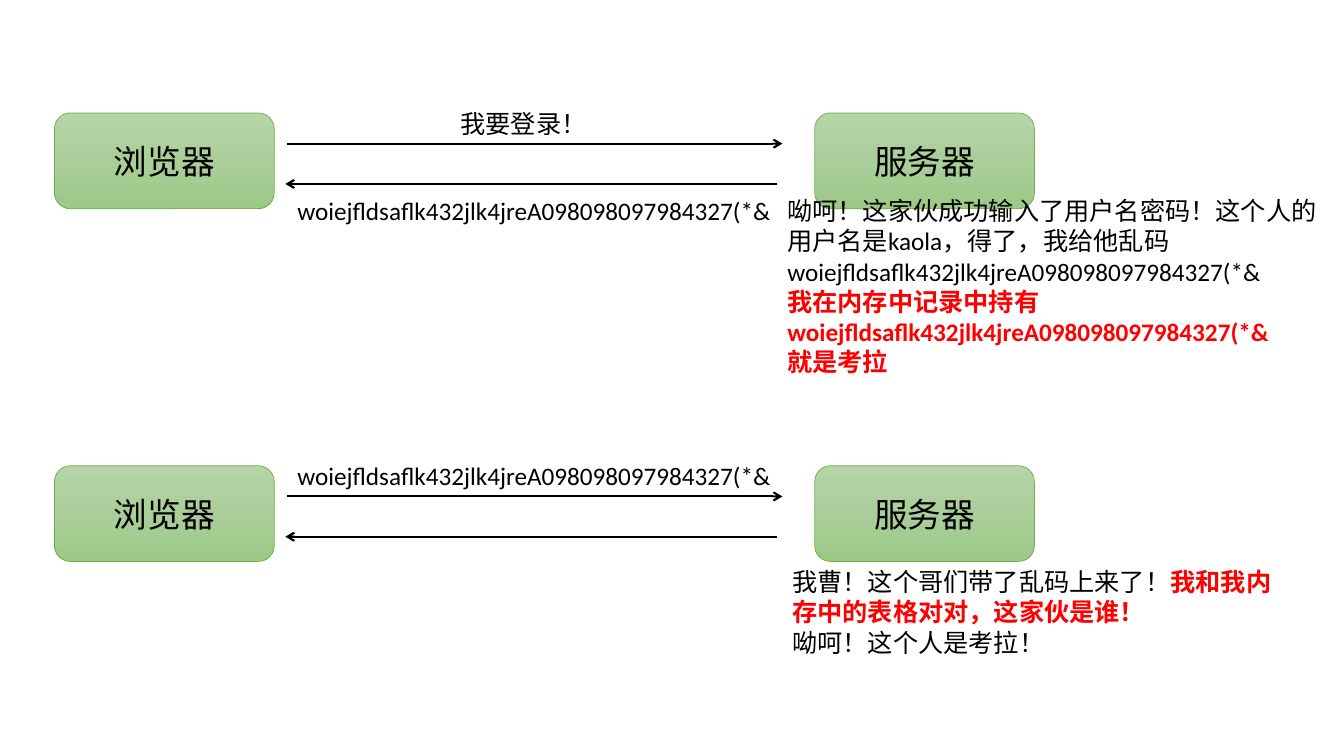
from copy import deepcopy

from pptx import Presentation
from pptx.dml.color import RGBColor
from pptx.enum.shapes import MSO_CONNECTOR as Connector, MSO_SHAPE as Shape
from pptx.enum.text import MSO_ANCHOR as Anchor, PP_ALIGN as Align
from pptx.oxml.ns import qn
from pptx.util import Inches, Pt
from lxml.etree import SubElement

COLORS = {
    "text": "000000",
    "accent": "FF0000",
    "border": "70AD47",
    "top": "B5D5A7",
    "middle": "AACE9A",
    "bottom": "9CC987",
}
FONT = "Calibri"
TOKEN = "woiejfldsaflk432jlk4jreA098098097984327(*&"
BROWSER_LEFT, SERVER_LEFT = 0.54, 8.08
EXCHANGE_TOPS = (1.12, 4.62)


def color(name):
    return RGBColor.from_string(COLORS[name])


def fill_gradient(shape):
    """Run three green stops from top to bottom."""
    shape.fill.gradient()
    shape.fill.gradient_angle = 270
    stop_list = shape.fill._fill._gradFill.find(qn("a:gsLst"))
    stop_list.insert(1, deepcopy(stop_list[0]))
    stops = zip(shape.fill.gradient_stops, (0, 0.5, 1), ("top", "middle", "bottom"))
    for stop, position, name in stops:
        stop.position = position
        stop.color.rgb = color(name)


def add_node(slide, label, left, top):
    """Add a rounded box for one side of the exchange."""
    shape = slide.shapes.add_shape(
        Shape.ROUNDED_RECTANGLE, Inches(left), Inches(top), Inches(2.18), Inches(0.95))
    shape.shadow.inherit = False
    fill_gradient(shape)
    shape.line.color.rgb = color("border")
    shape.line.width = Pt(0.5)
    shape.text_frame.vertical_anchor = Anchor.MIDDLE
    paragraph = shape.text_frame.paragraphs[0]
    paragraph.text = label
    paragraph.alignment = Align.CENTER
    paragraph.font.size = Pt(24)
    paragraph.font.name = FONT
    paragraph.font.color.rgb = color("text")


def add_arrow(slide, start, end, y):
    """Add a horizontal arrow pointing at its end."""
    arrow = slide.shapes.add_connector(
        Connector.STRAIGHT, Inches(start), Inches(y), Inches(end), Inches(y))
    arrow.line.color.rgb = color("text")
    arrow.line.width = Pt(1.5)
    SubElement(arrow.line._get_or_add_ln(), qn("a:tailEnd"), type="arrow")
    SubElement(arrow._element.spPr, qn("a:effectLst"))


def add_text(slide, left, top, width, height, paragraphs):
    """Add text; each paragraph is a list of (words, is_accent) runs."""
    box = slide.shapes.add_textbox(
        Inches(left), Inches(top), Inches(width), Inches(height))
    frame = box.text_frame
    frame.word_wrap = True
    for index, runs in enumerate(paragraphs):
        paragraph = frame.add_paragraph() if index else frame.paragraphs[0]
        paragraph.font.size = Pt(18)
        paragraph.font.name = FONT
        for words, is_accent in runs:
            run = paragraph.add_run()
            run.text = words
            run.font.bold = is_accent
            run.font.color.rgb = color("accent" if is_accent else "text")


def add_exchange(slide, top):
    """Add browser, server, and the request and response arrows."""
    add_node(slide, "浏览器", BROWSER_LEFT, top)
    add_node(slide, "服务器", SERVER_LEFT, top)
    add_arrow(slide, 2.85, 7.76, top + 0.305)
    add_arrow(slide, 7.71, 2.83, top + 0.705)


def main():
    presentation = Presentation()
    presentation.slide_width = Inches(13.33)
    presentation.slide_height = Inches(7.5)
    slide = presentation.slides.add_slide(presentation.slide_layouts[6])

    for top in EXCHANGE_TOPS:
        add_exchange(slide, top)

    # Login: request, server's reasoning, returned token
    add_text(slide, 4.47, 1.03, 2.5, 0.4, [[("我要登录！", False)]])
    add_text(slide, 7.71, 1.89, 5.48, 1.92, [
        [("呦呵！这家伙成功输入了用户名密码！这个人的用户名是kaola，得了，我给他乱码"
          + TOKEN, False)],
        [("我在内存中记录中持有", True)],
        [(TOKEN, True)],
        [("就是考拉", True)],
    ])
    add_text(slide, 2.85, 1.89, 5.25, 0.4, [[(TOKEN, False)]])

    # Next visit: token sent back, server recognises the user
    add_text(slide, 2.85, 4.52, 5.25, 0.4, [[(TOKEN, False)]])
    add_text(slide, 7.76, 5.57, 4.98, 1.01, [
        [("我曹！这个哥们带了乱码上来了！", False),
         ("我和我内存中的表格对对，这家伙是谁！", True)],
        [("呦呵！这个人是考拉！", False)],
    ])

    presentation.save("out.pptx")


main()
